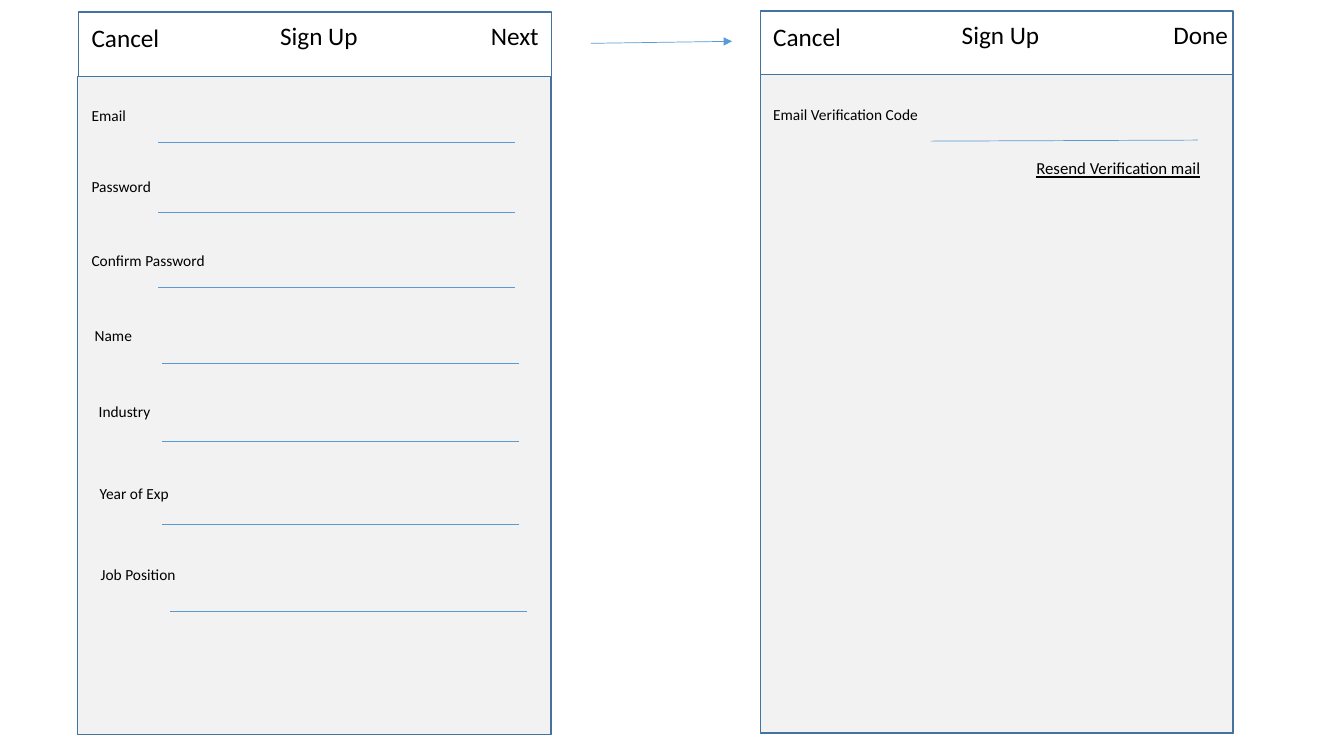
from dataclasses import dataclass

from lxml import etree
from pptx import Presentation
from pptx.dml.color import RGBColor
from pptx.enum.shapes import MSO_CONNECTOR, MSO_SHAPE
from pptx.enum.text import MSO_AUTO_SIZE
from pptx.oxml.ns import qn
from pptx.util import Inches, Pt

RECT = MSO_SHAPE.RECTANGLE
STRAIGHT = MSO_CONNECTOR.STRAIGHT
FIT_TEXT = MSO_AUTO_SIZE.SHAPE_TO_FIT_TEXT

WHITE, PANEL, BLACK = "FFFFFF", "F2F2F2", "000000"
BORDER, ACCENT = "43739E", "5B9BD5"
FONT = "Calibri"
SCREEN_W, SCREEN_H, BODY_H = 4.69, 7.17, 6.53
FIELD_W = 3.54


@dataclass
class Label:
    text: str
    x: float
    y: float
    w: float
    h: float = 0.29
    size: int = 11
    underline: bool = False


@dataclass
class Line:
    x1: float
    y1: float
    x2: float
    y2: float
    arrow: bool = False


@dataclass
class Screen:
    x: float
    y: float
    body_x: float
    body_y: float
    action: Label
    title_x: float
    cancel_x: float
    labels: list[Label]
    lines: list[Line]


def rgb(value: str) -> RGBColor:
    return RGBColor.from_string(value)


def add_panel(slide, x: float, y: float, h: float, fill: str) -> None:
    sp = slide.shapes.add_shape(RECT, Inches(x), Inches(y), Inches(SCREEN_W), Inches(h))
    sp.shadow.inherit = False
    sp.fill.solid()
    sp.fill.fore_color.rgb = rgb(fill)
    sp.line.color.rgb = rgb(BORDER)
    sp.line.width = Pt(1)


def add_label(slide, label: Label) -> None:
    box = slide.shapes.add_textbox(Inches(label.x), Inches(label.y),
                                   Inches(label.w), Inches(label.h))
    tf = box.text_frame
    tf.word_wrap = False
    tf.auto_size = FIT_TEXT
    r = tf.paragraphs[0].add_run()
    r.text = label.text
    r.font.name = FONT
    r.font.size = Pt(label.size)
    r.font.color.rgb = rgb(BLACK)
    if label.underline:
        r.font.underline = True


def add_line(slide, line: Line) -> None:
    cxn = slide.shapes.add_connector(STRAIGHT, Inches(line.x1), Inches(line.y1),
                                     Inches(line.x2), Inches(line.y2))
    cxn.line.color.rgb = rgb(ACCENT)
    cxn.line.width = Pt(0.5)
    if line.arrow:
        etree.SubElement(cxn.line._get_or_add_ln(), qn("a:tailEnd"), type="triangle")
    etree.SubElement(cxn._element.spPr, qn("a:effectLst"))


def add_screen(slide, screen: Screen) -> None:
    # Frame and body
    add_panel(slide, screen.x, screen.y, SCREEN_H, WHITE)
    add_panel(slide, screen.body_x, screen.body_y, BODY_H, PANEL)
    # Navigation bar
    bar_y = screen.action.y
    add_label(slide, screen.action)
    add_label(slide, Label("Sign Up", screen.title_x, bar_y, 0.98, 0.4, 18))
    add_label(slide, Label("Cancel", screen.cancel_x, bar_y + 0.02, 0.88, 0.4, 18))
    # Form
    for label in screen.labels:
        add_label(slide, label)
    for line in screen.lines:
        add_line(slide, line)


# Form fields: label, then left end and height of its input line
FIELDS = [
    (Label("Email", 0.81, 1, 0.54), 1.57, 1.41),
    (Label("Password", 0.81, 1.71, 0.8), 1.57, 2.11),
    (Label("Confirm Password", 0.81, 2.44, 1.34), 1.57, 2.85),
    (Label("Name", 0.84, 3.19, 0.58), 1.61, 3.6),
    (Label("Industry", 0.88, 3.94, 0.72), 1.61, 4.38),
    (Label("Year of Exp", 0.89, 4.75, 0.9), 1.61, 5.2),
    (Label("Job Position", 0.9, 5.56, 0.95), 1.69, 6.07),
]

SCREENS = [
    Screen(0.78, 0.12, 0.77, 0.76, Label("Next", 4.77, 0.15, 0.68, 0.4, 18), 2.68, 0.81,
           [label for label, _, _ in FIELDS],
           [Line(x, y, x + FIELD_W, y) for _, x, y in FIELDS]),
    Screen(7.54, 0.11, 7.54, 0.74, Label("Done", 11.54, 0.14, 0.75, 0.4, 18), 9.44, 7.57,
           [Label("Email Verification Code", 7.57, 0.99, 1.66),
            Label("Resend Verification mail", 10.18, 1.52, 1.85, 0.3, 12, True)],
           [Line(9.23, 1.4, 11.88, 1.39)]),
]


def main() -> None:
    prs = Presentation()
    prs.slide_width, prs.slide_height = Inches(13.33), Inches(7.5)
    slide = prs.slides.add_slide(prs.slide_layouts[6])
    for screen in SCREENS:
        add_screen(slide, screen)
    # Step from the first screen to the second
    add_line(slide, Line(5.86, 0.43, 7.26, 0.41, arrow=True))
    prs.save("out.pptx")


if __name__ == "__main__":
    main()
